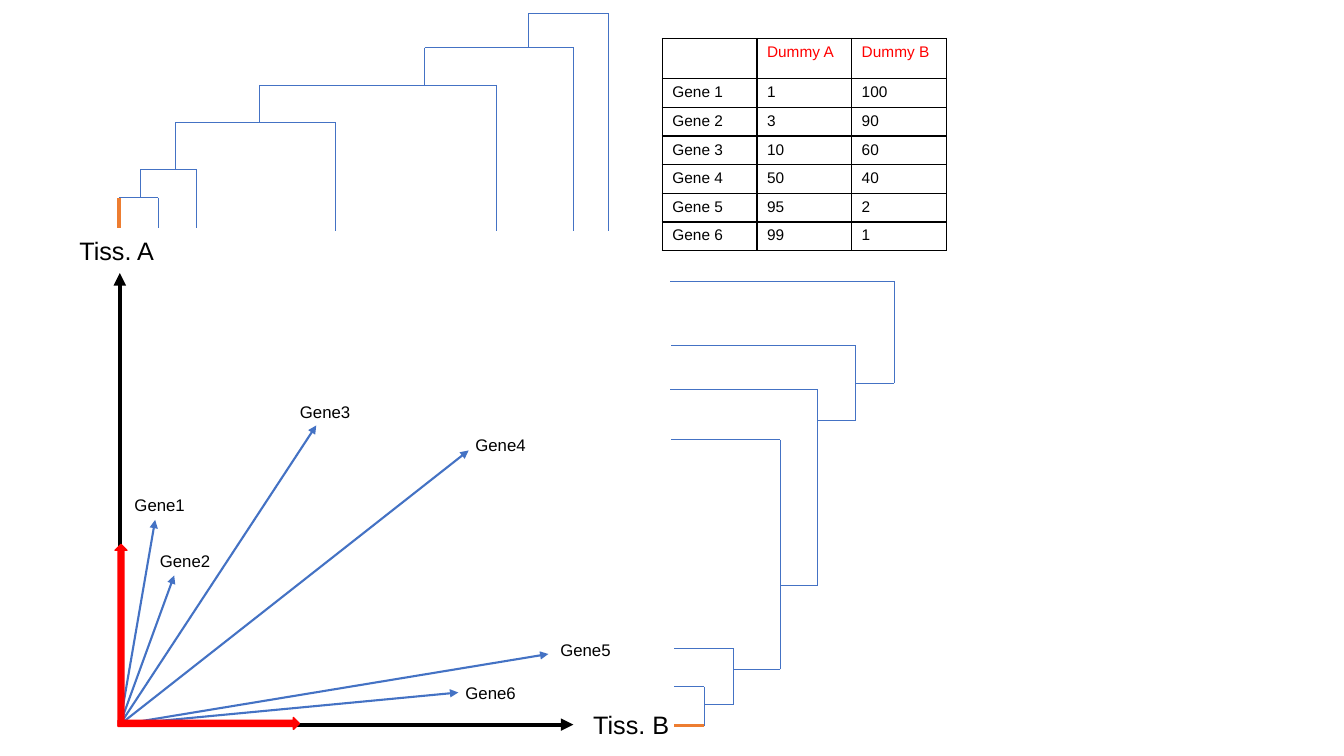
import pptx
import pptx.dml.color
import pptx.enum.shapes
import pptx.enum.text
import pptx.oxml
import pptx.oxml.ns
import pptx.util
from pptx.util import Cm

BLUE = pptx.dml.color.RGBColor(0x44, 0x72, 0xC4)
ORANGE = pptx.dml.color.RGBColor(0xED, 0x7D, 0x31)
RED = pptx.dml.color.RGBColor(0xFF, 0x00, 0x00)
BLACK = pptx.dml.color.RGBColor(0x00, 0x00, 0x00)
FONT = "Arial"

GENES = [
    ("Gene1", (0.89, 5.16), (0.12, 5.92)),
    ("Gene2", (1.37, 3.76), (0.76, 4.5)),
    ("Gene3", (4.95, 7.54), (4.29, 8.26)),
    ("Gene4", (8.79, 6.91), (8.71, 7.44)),
    ("Gene5", (10.8, 1.78), (10.85, 2.26)),
    ("Gene6", (8.53, 0.81), (8.46, 1.19)),
]
EXPRESSION = [
    ("", "Dummy A", "Dummy B"),
    ("Gene 1", "1", "100"),
    ("Gene 2", "3", "90"),
    ("Gene 3", "10", "60"),
    ("Gene 4", "50", "40"),
    ("Gene 5", "95", "2"),
    ("Gene 6", "99", "1"),
]
# Each merge: cluster position, leaf position, merge height, leaf foot.
TISSUE_A_MERGES = [
    (0, 0.99, 0.84, 0.08),
    (0.53, 1.96, 1.55, 0.08),
    (1.42, 5.44, 2.74, 0),
    (3.53, 9.5, 3.68, 0),
    (7.7, 11.46, 4.62, 0),
    (10.31, 12.32, 5.49, 0),
]
TISSUE_B_MERGES = [
    (0, 0.99, 0.86, 0.1),
    (0.53, 1.96, 1.6, 0.1),
    (1.42, 7.21, 2.77, 0.02),
    (3.53, 8.48, 3.71, 0),
    (7.7, 9.6, 4.67, 0.02),
    (8.64, 11.2, 5.64, 0),
]


def write_text(frame, text, size=12, color=BLACK):
    """Put one formatted run into a text frame."""
    run = frame.paragraphs[0].add_run()
    run.text = text
    run.font.name = FONT
    run.font.size = pptx.util.Pt(size)
    run.font.color.rgb = color


def add_label(slide, text, left, top, width, height, **text_format):
    """Add a wrapped text box."""
    frame = slide.shapes.add_textbox(Cm(left), Cm(top), Cm(width), Cm(height)).text_frame
    frame.word_wrap = True
    frame.auto_size = pptx.enum.text.MSO_AUTO_SIZE.SHAPE_TO_FIT_TEXT
    write_text(frame, text, **text_format)


def add_line(slide, start, end, color=BLUE, weight=0.5, arrow=False):
    """Draw a straight connector, with an arrowhead at its end if asked."""
    points = [Cm(value) for value in (*start, *end)]
    connector = slide.shapes.add_connector(pptx.enum.shapes.MSO_CONNECTOR.STRAIGHT, *points)
    connector.line.color.rgb = color
    connector.line.width = pptx.util.Pt(weight)
    if arrow:
        head = pptx.oxml.ns.qn("a:tailEnd")
        connector.line._get_or_add_ln().makeelement(head)
        connector.line._get_or_add_ln().append(
            connector.line._get_or_add_ln().makeelement(head, {"type": "triangle"}))
    properties = connector._element.spPr
    properties.append(properties.makeelement(pptx.oxml.ns.qn("a:effectLst")))


def add_block_arrow(slide, center, length, thickness, rotation):
    """Draw a red block arrow around its centre."""
    shape = slide.shapes.add_shape(
        pptx.enum.shapes.MSO_SHAPE.RIGHT_ARROW,
        Cm(center[0] - length / 2), Cm(center[1] - thickness / 2), Cm(length), Cm(thickness))
    shape.rotation = rotation
    shape.shadow.inherit = False
    shape.fill.solid()
    shape.fill.fore_color.rgb = RED
    shape.line.color.rgb = RED
    shape.line.width = pptx.util.Pt(1)


def add_vector_plane(slide, left, top, width, height):
    """Draw the gene vectors, tissue axes and red unit arrows."""
    def place(point):
        """Convert an offset from the axis origin to a slide position."""
        return left + point[0], top + height - point[1]

    for name, tip, label in GENES:
        add_line(slide, place((0, 0)), place(tip), weight=1.5, arrow=True)
    for axis_end in ((0, height), (width, 0)):
        add_line(slide, place((0, 0)), place(axis_end), color=BLACK, weight=3, arrow=True)
    for name, position in (("Tiss. B", (11.68, 0.51)), ("Tiss. A", (-1.27, 12.45))):
        add_label(slide, name, *place(position), 2.54, 1.02, size=18)
    for name, tip, label in GENES:
        add_label(slide, name, *place(label), 2.03, 0.76)
    for center, rotation in (((2.24, 0.03), 0), ((0.03, 2.26), 270)):
        add_block_arrow(slide, place(center), 4.57, 0.3, rotation)


def add_dendrogram(slide, left, top, width, height, merges, sideways=False):
    """Draw a tree in which every merge adds one leaf to the cluster."""
    def place(along, level):
        """Convert leaf-axis position and tree level to a slide position."""
        if sideways:
            return left + level, top + height - along
        return left + along, top + height - level

    cluster_level = merges[0][3]
    for index, (cluster, leaf, level, foot) in enumerate(merges):
        add_line(slide, place(cluster, level), place(leaf, level))
        add_line(slide, place(leaf, level), place(leaf, foot))
        stem_format = {"color": ORANGE, "weight": 2.25} if index == 0 else {}
        add_line(slide, place(cluster, level), place(cluster, cluster_level), **stem_format)
        cluster_level = level


def add_cell_borders(cell):
    """Give all four sides of a cell a thin black line."""
    for side in ("lnL", "lnR", "lnT", "lnB"):
        cell._tc.get_or_add_tcPr().append(pptx.oxml.parse_xml(
            f'<a:{side} {pptx.oxml.ns.nsdecls("a")} w="12700"><a:solidFill>'
            f'<a:srgbClr val="{BLACK}"/></a:solidFill></a:{side}>'))


def add_expression_table(slide, left, top, width, height):
    """Add the table of gene values with a red header."""
    rows, columns = len(EXPRESSION), len(EXPRESSION[0])
    table = slide.shapes.add_table(
        rows, columns, Cm(left), Cm(top), Cm(width), Cm(height)).table
    table.first_row = False
    table.horz_banding = False
    for row, values in enumerate(EXPRESSION):
        for column, value in enumerate(values):
            cell = table.cell(row, column)
            add_cell_borders(cell)
            cell.fill.background()
            write_text(cell.text_frame, value, size=11, color=BLACK if row else RED)


def main():
    """Build and save the slide."""
    presentation = pptx.Presentation()
    presentation.slide_width = Cm(33.87)
    presentation.slide_height = Cm(19.05)
    slide = presentation.slides.add_slide(presentation.slide_layouts[6])
    add_vector_plane(slide, 3.02, 6.88, 11.43, 11.38)
    add_expression_table(slide, 16.69, 0.97, 7.16, 5.04)
    add_dendrogram(slide, 3, 0.33, 12.32, 5.49, TISSUE_A_MERGES)
    add_dendrogram(slide, 16.89, 7.09, 5.64, 11.2, TISSUE_B_MERGES, sideways=True)
    presentation.save("out.pptx")


main()
